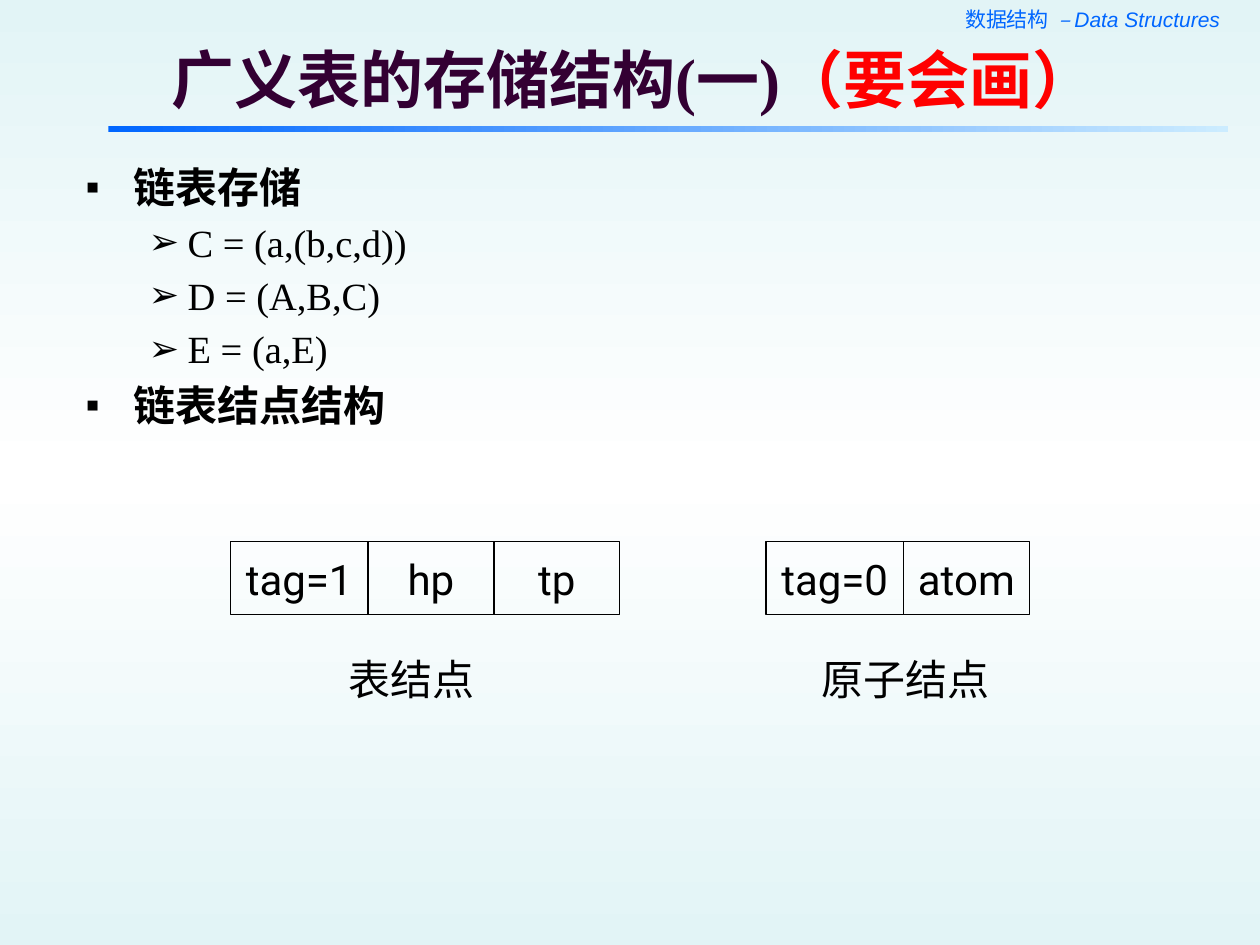
"""Build the slide on the linked storage of generalized lists."""
from copy import deepcopy

from lxml import etree
from pptx import Presentation
from pptx import util as u
from pptx.dml.color import RGBColor
from pptx.enum import shapes, text
from pptx.oxml import ns

BLACK = RGBColor(0x00, 0x00, 0x00)
PLUM = RGBColor(0x33, 0x00, 0x33)
RED = RGBColor(0xFF, 0x00, 0x00)
BLUE = RGBColor(0x00, 0x66, 0xFF)
PALE_BLUE = RGBColor(0xCC, 0xEC, 0xFF)
MIST = RGBColor(0xE2, 0xF4, 0xF6)
WHITE = RGBColor(0xFF, 0xFF, 0xFF)
SERIF, SANS, LABEL = "Times New Roman", "Arial", "Roboto"


def add_span(para, words, font=SERIF, size=24, color=BLACK, bold=False, italic=False):
    span = para.add_run()
    span.text = words
    span.font.name = font
    span.font.size = u.Pt(size)
    span.font.color.rgb = color
    span.font.bold = bold
    span.font.italic = italic
    return span


class Deck:
    levels = (
        dict(mark="▪", margin=0.38, hang=0.38, before=4.5, size=24, bold=True),
        dict(mark="➢", margin=0.81, hang=0.31, before=4.1, size=22, bold=False),
    )
    cell_top, cell_height = 4.3, 0.58
    cell_widths = (1.09, 1, 1)

    def __init__(self):
        self.show = Presentation()
        self.show.slide_width = u.Inches(10)
        self.show.slide_height = u.Inches(7.5)
        self.page = self.show.slides.add_slide(self.show.slide_layouts[1])

    def place(self, box, left, top, width, height):
        box.left, box.top = u.Inches(left), u.Inches(top)
        box.width, box.height = u.Inches(width), u.Inches(height)

    def gradient(self, fill, first, last, angle):
        fill.gradient()
        fill.gradient_angle = angle
        for stop, color, position in zip(fill.gradient_stops, (first, last), (0, 1)):
            stop.color.rgb = color
            stop.position = position

    def background(self):
        fill = self.page.background.fill
        self.gradient(fill, MIST, WHITE, 90)
        stops = next(self.page.element.iter(ns.qn("a:gsLst")))
        stops.append(deepcopy(stops[0]))
        for stop, position in zip(fill.gradient_stops, (0, 0.5, 1)):
            stop.position = position

    def rule(self, *area):
        bar = self.page.shapes.add_shape(
            shapes.MSO_SHAPE.RECTANGLE, *map(u.Inches, area))
        bar.shadow.inherit = False
        bar.line.fill.background()
        self.gradient(bar.fill, BLUE, PALE_BLUE, 0)

    def text_box(self, area, spans, align=text.PP_ALIGN.LEFT):
        box = self.page.shapes.add_textbox(*map(u.Inches, area))
        box.text_frame.word_wrap = True
        para = box.text_frame.paragraphs[0]
        para.alignment = align
        for words, style in spans:
            add_span(para, words, **style)

    def title(self, area, spans):
        box = self.page.shapes.title
        self.place(box, *area)
        frame = box.text_frame
        frame.auto_size = text.MSO_AUTO_SIZE.NONE
        frame.vertical_anchor = text.MSO_ANCHOR.MIDDLE
        frame.margin_top = frame.margin_bottom = u.Inches(0.04)
        para = frame.paragraphs[0]
        para.alignment = text.PP_ALIGN.LEFT
        for words, color in spans:
            add_span(para, words, size=36, color=color, bold=True)

    def bullet(self, para, mark, margin, hang):
        props = para._p.get_or_add_pPr()
        props.set("marL", str(u.Inches(margin)))
        props.set("indent", str(-u.Inches(hang)))
        color = etree.SubElement(props, ns.qn("a:buClr"))
        etree.SubElement(color, ns.qn("a:srgbClr"), val=str(BLACK))
        etree.SubElement(props, ns.qn("a:buSzPct"), val="95000")
        etree.SubElement(props, ns.qn("a:buChar"), char=mark)

    def outline(self, area, items):
        box = self.page.placeholders[1]
        self.place(box, *area)
        frame = box.text_frame
        frame.auto_size = text.MSO_AUTO_SIZE.NONE
        for index, (level, words) in enumerate(items):
            look = self.levels[level]
            para = frame.add_paragraph() if index else frame.paragraphs[0]
            para.level = level
            self.bullet(para, look["mark"], look["margin"], look["hang"])
            para.space_before = u.Pt(look["before"] if index else 0)
            add_span(para, words, size=look["size"], bold=look["bold"])

    def cell(self, left, width, words):
        box = self.page.shapes.add_shape(
            shapes.MSO_SHAPE.RECTANGLE, u.Inches(left), u.Inches(self.cell_top),
            u.Inches(width), u.Inches(self.cell_height))
        box.shadow.inherit = False
        box.fill.background()
        box.line.color.rgb = BLACK
        box.line.width = u.Pt(0.75)
        frame = box.text_frame
        frame.word_wrap = False
        frame.vertical_anchor = text.MSO_ANCHOR.MIDDLE
        frame.paragraphs[0].alignment = text.PP_ALIGN.CENTER
        add_span(frame.paragraphs[0], words, font=LABEL)

    def node(self, left, fields, caption, caption_left, caption_width):
        for width, field in zip(self.cell_widths, fields):
            self.cell(left, width, field)
            left += width
        self.text_box((caption_left, 5.14, caption_width, 0.5),
                      [(caption, dict(font=LABEL))])


def main():
    deck = Deck()
    deck.background()
    deck.text_box((6, 0, 3.83, 0.3), [
        ("数据结构  ", dict(size=12, color=BLUE)),
        ("– Data Structures ", dict(font=SANS, size=12, color=BLUE, italic=True)),
    ], text.PP_ALIGN.RIGHT)
    deck.rule(0.86, 1, 8.89, 0.05)
    deck.title((1.26, 0.29, 8.24, 0.67),
               [("广义表的存储结构(一)", PLUM), ("（要会画）", RED)])
    deck.outline((0.58, 1.23, 9.21, 3.13), [
        (0, "链表存储"),
        (1, "C = (a,(b,c,d))"),
        (1, "D = (A,B,C)"),
        (1, "E = (a,E)"),
        (0, "链表结点结构"),
    ])
    deck.node(1.83, ("tag=1", "hp", "tp"), "表结点", 2.67, 1.25)
    deck.node(6.08, ("tag=0", "atom"), "原子结点", 6.42, 1.58)
    deck.show.save("out.pptx")


if __name__ == "__main__":
    main()
